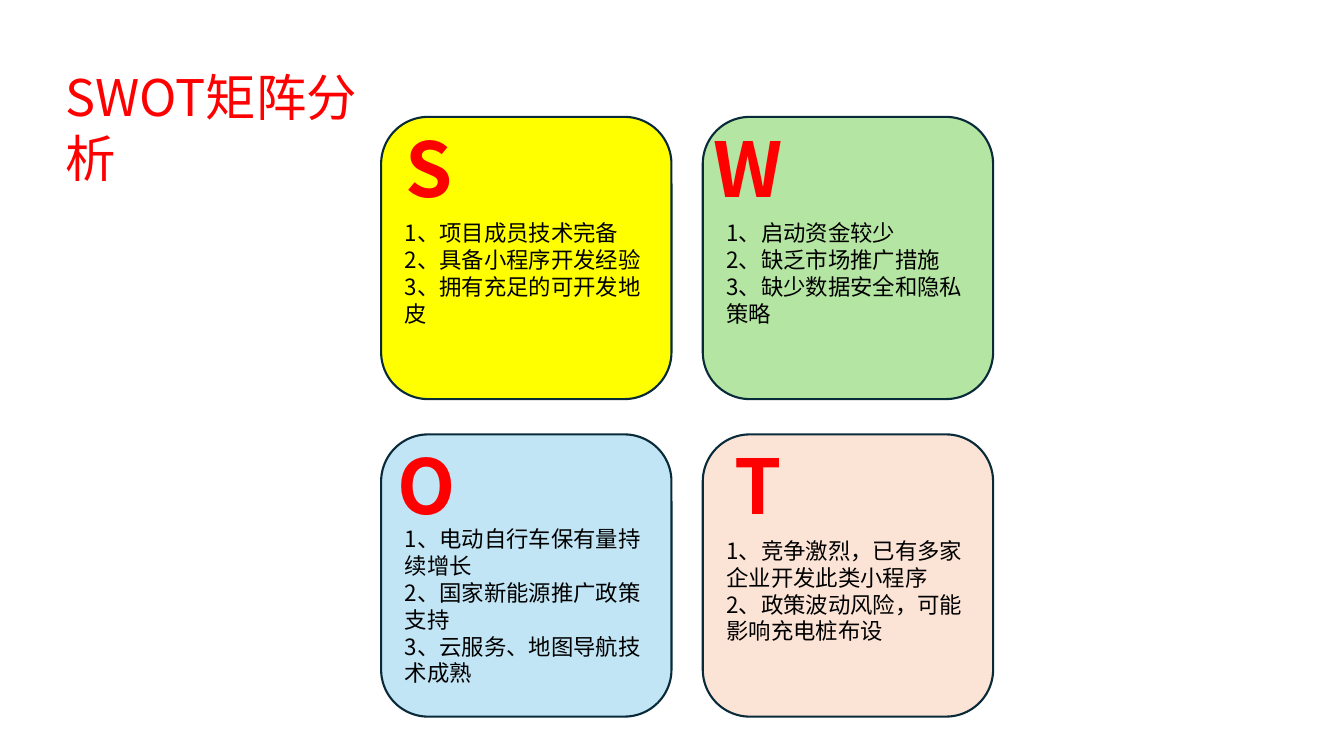
from lxml.etree import SubElement, Element
from pptx import Presentation
from pptx.dml.color import RGBColor
from pptx.enum.shapes import MSO_SHAPE
from pptx.enum.text import MSO_ANCHOR, MSO_AUTO_SIZE, PP_ALIGN
from pptx.oxml.ns import qn
from pptx.util import Inches, Pt

HUES = {
    "red": "FF0000", "black": "000000", "edge": "092A39", "glow": "E97132",
    "S": "FFFF00", "W": "B4E5A2", "O": "C1E5F5", "T": "FBE3D6",
}


class Deck:
    font = "Noto Sans CJK SC"

    def __init__(self):
        self.file = Presentation()
        self.file.slide_width = Inches(13.33)
        self.file.slide_height = Inches(7.5)
        self.slide = self.file.slides.add_slide(self.file.slide_layouts[5])

    def hue(self, name):
        return RGBColor.from_string(HUES[name])

    def run(self, para, text, size, hue, bold=False):
        run = para.add_run()
        run.text = text
        run.font.size = Pt(size)
        run.font.bold = bold
        run.font.name = self.font
        run.font.color.rgb = self.hue(hue)
        props = run._r.get_or_add_rPr()
        props.set("lang", "zh-CN")
        SubElement(props, qn("a:ea")).set("typeface", self.font)
        return props

    def title(self, text, left, top, width, height):
        box = self.slide.shapes.title
        box.left, box.top = Inches(left), Inches(top)
        box.width, box.height = Inches(width), Inches(height)
        frame = box.text_frame
        frame.word_wrap = True
        frame.auto_size = MSO_AUTO_SIZE.NONE
        frame.vertical_anchor = MSO_ANCHOR.TOP
        para = frame.paragraphs[0]
        para.alignment = PP_ALIGN.LEFT
        self.run(para, text, 36, "red")

    def card(self, lines, hue, left, top, inset):
        card = self.slide.shapes.add_shape(
            MSO_SHAPE.ROUNDED_RECTANGLE,
            Inches(left), Inches(top), Inches(2.88), Inches(2.8))
        card.shadow.inherit = False
        card.fill.solid()
        card.fill.fore_color.rgb = self.hue(hue)
        card.line.color.rgb = self.hue("edge")
        card.line.width = Pt(1.5)
        frame = card.text_frame
        frame.word_wrap = True
        frame.vertical_anchor = MSO_ANCHOR.MIDDLE
        frame.margin_top = Inches(inset)
        for spot, line in enumerate(lines):
            para = frame.add_paragraph() if spot else frame.paragraphs[0]
            para.alignment = PP_ALIGN.LEFT
            self.run(para, line, 16, "black")

    def mark(self, text, left, top, width):
        box = self.slide.shapes.add_textbox(
            Inches(left), Inches(top), Inches(width), Inches(1.01))
        frame = box.text_frame
        frame.word_wrap = False
        frame.auto_size = MSO_AUTO_SIZE.SHAPE_TO_FIT_TEXT
        para = frame.paragraphs[0]
        para.alignment = PP_ALIGN.CENTER
        props = self.run(para, text, 54, "red", True)
        edge = Element(qn("a:ln"), w=str(Pt(1.75)))
        fill = SubElement(edge, qn("a:solidFill"))
        SubElement(fill, qn("a:srgbClr")).set("val", HUES["glow"])
        props.insert(0, edge)


PARTS = [
    ("S", 3.92, 0.61, 0.35,
     ["1、项目成员技术完备", "2、具备小程序开发经验", "3、拥有充足的可开发地皮"]),
    ("W", 6.96, 0.93, 0.35,
     ["1、启动资金较少", "2、缺乏市场推广措施", "3、缺少数据安全和隐私策略"]),
    ("O", 3.84, 0.78, 0.65,
     ["1、电动自行车保有量持续增长", "2、国家新能源推广政策支持",
      "3、云服务、地图导航技术成熟"]),
    ("T", 7.19, 0.62, 0.35,
     ["1、竞争激烈，已有多家企业开发此类小程序",
      "2、政策波动风险，可能影响充电桩布设"]),
]


def main():
    deck = Deck()
    deck.title("SWOT矩阵分析", 0.55, 0.61, 3.23, 1.3)
    for spot, (name, left, width, inset, lines) in enumerate(PARTS):
        row, col = divmod(spot, 2)
        top = 1.16 + 3.15 * row
        deck.card(lines, name, 3.78 + 3.19 * col, top, inset)
        deck.mark(name, left, top, width)
    deck.file.save("out.pptx")


if __name__ == "__main__":
    main()
